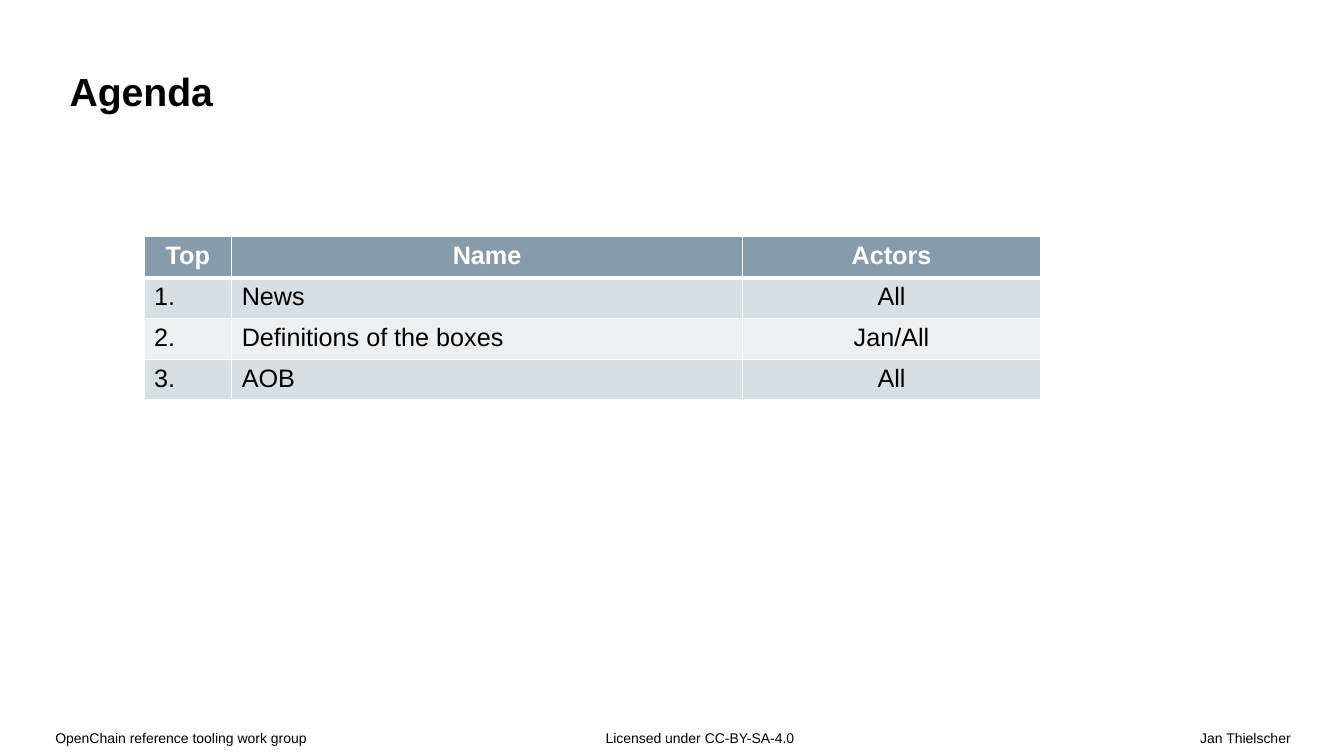
from dataclasses import dataclass

from lxml.etree import SubElement
from pptx import Presentation
from pptx.dml.color import RGBColor
from pptx.enum.text import MSO_ANCHOR, PP_ALIGN
from pptx.oxml.ns import qn
from pptx.util import Pt

PX = 9144
WIDTH, HEIGHT = 1334, 750


@dataclass(frozen=True)
class Theme:
    font: str = "Arial"
    ink: str = "000000"
    white: str = "FFFFFF"
    header: str = "879BAA"
    bands: tuple = ("D9DEE2", "EDEFF1")
    title_size: int = 28
    table_size: int = 18
    footer_size: int = 10


THEME = Theme()
AGENDA = [
    ("Top", "Name", "Actors"),
    ("1.", "News", "All"),
    ("2.", "Definitions of the boxes", "Jan/All"),
    ("3.", "AOB", "All"),
]
COLUMN_WIDTHS = (87, 507, 296)
FOOTERS = [
    ("OpenChain reference tooling work group", (31, 722, 340, 28), (24, 0, 0, 13), PP_ALIGN.LEFT),
    ("Licensed under CC-BY-SA-4.0", (532, 722, 301, 28), (69, 0, 0, 13), PP_ALIGN.LEFT),
    ("Jan Thielscher", (414, 722, 920, 28), (0, 0, 53, 13), PP_ALIGN.RIGHT),
]


def emu(box):
    return [length * PX for length in box]


def write(frame, text, size, color=THEME.ink, bold=False, align=PP_ALIGN.LEFT):
    frame.text = text
    paragraph = frame.paragraphs[0]
    paragraph.alignment = align
    font = paragraph.runs[0].font
    font.name, font.size, font.bold = THEME.font, Pt(size), bold
    font.color.rgb = RGBColor.from_string(color)
    return paragraph


def set_insets(frame, insets):
    frame.margin_left, frame.margin_top, frame.margin_right, frame.margin_bottom = emu(insets)
    frame.word_wrap = True


def add_title(slide, box):
    title = slide.shapes.title
    title.left, title.top, title.width, title.height = emu(box)
    set_insets(title.text_frame, (69, 43, 232, 26))
    title.text_frame.vertical_anchor = MSO_ANCHOR.BOTTOM
    write(title.text_frame, "Agenda", THEME.title_size, bold=True)


def add_footer(slide, text, box, insets, align):
    footer = slide.shapes.add_textbox(*emu(box)).text_frame
    set_insets(footer, insets)
    write(footer, text, THEME.footer_size, align=align).line_spacing = 1.1


def add_borders(cell, widths):
    properties = cell._tc.get_or_add_tcPr()
    for index, (side, width) in enumerate(widths.items()):
        line = properties.makeelement(qn(f"a:{side}"), {"w": str(Pt(width))})
        fill = SubElement(line, qn("a:solidFill"))
        SubElement(fill, qn("a:srgbClr"), val=THEME.white)
        properties.insert(index, line)


def add_agenda(slide, box):
    agenda = slide.shapes.add_table(len(AGENDA), len(COLUMN_WIDTHS), *emu(box)).table
    for column, width in zip(agenda.columns, COLUMN_WIDTHS):
        column.width = width * PX
    for row, entries in enumerate(AGENDA):
        is_header = row == 0
        background = THEME.header if is_header else THEME.bands[(row - 1) % 2]
        for column, entry in enumerate(entries):
            cell = agenda.cell(row, column)
            cell.fill.solid()
            cell.fill.fore_color.rgb = RGBColor.from_string(background)
            centred = is_header or column == len(COLUMN_WIDTHS) - 1
            write(cell.text_frame, entry, THEME.table_size,
                  THEME.white if is_header else THEME.ink, is_header,
                  PP_ALIGN.CENTER if centred else PP_ALIGN.LEFT)
            add_borders(cell, {"lnL": 1, "lnR": 1,
                               "lnT": 3 if row == 1 else 1,
                               "lnB": 3 if is_header else 1})


def main():
    deck = Presentation()
    deck.slide_width, deck.slide_height = emu((WIDTH, HEIGHT))
    slide = deck.slides.add_slide(deck.slide_layouts[5])
    for footer in FOOTERS:
        add_footer(slide, *footer)
    add_title(slide, (0, 0, WIDTH, 139))
    add_agenda(slide, (143, 235, sum(COLUMN_WIDTHS), 162))
    deck.save("out.pptx")


if __name__ == "__main__":
    main()
